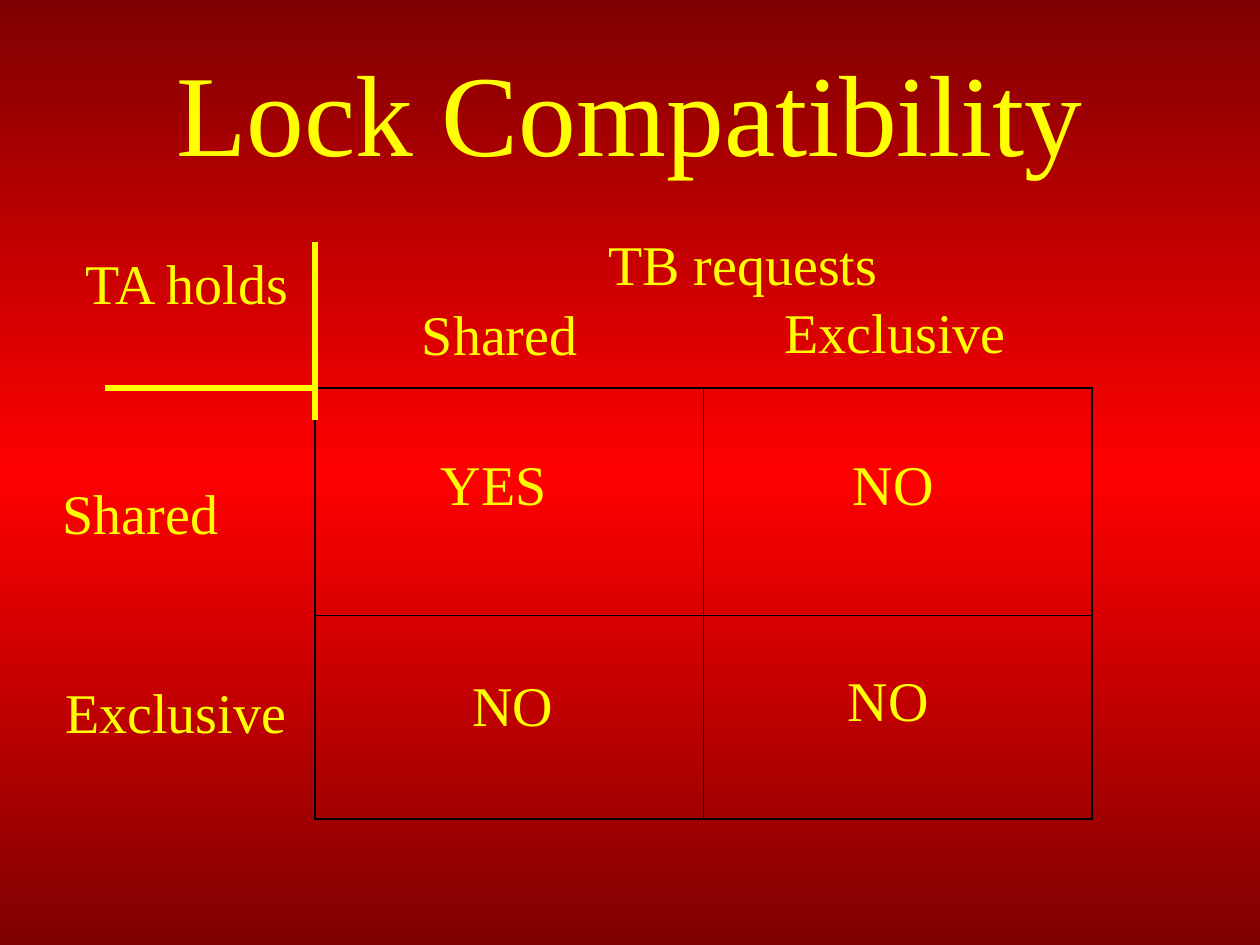
from copy import deepcopy
from lxml import etree
from pptx import Presentation
from pptx import util as u
from pptx.dml.color import RGBColor
from pptx.enum import shapes, text
from pptx.oxml.ns import qn

YELLOW = "FFFF00"
FONT = "Times New Roman"


def color(value):
    return RGBColor.from_string(value)


def add_label(slide, wording, left, top, width, height, size, wrap=False):
    shape = slide.shapes.add_textbox(
        u.Inches(left), u.Inches(top), u.Inches(width), u.Inches(height))
    frame = shape.text_frame
    frame.word_wrap = wrap
    run = frame.paragraphs[0].add_run()
    run.text = wording
    run.font.name = FONT
    run.font.size = u.Pt(size)
    run.font.color.rgb = color(YELLOW)
    return frame


presentation = Presentation()
presentation.slide_width = u.Inches(10)
presentation.slide_height = u.Inches(7.5)
slide = presentation.slides.add_slide(presentation.slide_layouts[6])

background = slide.background.fill
background.gradient()
background.gradient_angle = 270
stop_list = slide.element.xpath(".//a:gsLst")[0]
stop_list.append(deepcopy(stop_list[0]))
gradient = [(0, "7F0000"), (0.5, "FF0000"), (1, "7F0000")]
for stop, (position, value) in zip(background.gradient_stops, gradient):
    stop.position = position
    stop.color.rgb = color(value)

title = add_label(slide, "Lock Compatibility", 0.75, 0.25, 8.5, 1.25, 66, wrap=True)
title.vertical_anchor = text.MSO_ANCHOR.MIDDLE
title.paragraphs[0].alignment = text.PP_ALIGN.CENTER

matrix = slide.shapes.add_table(
    2, 2, u.Inches(2.5), u.Inches(3.08), u.Inches(6.17), u.Inches(3.42)).table
matrix.first_row = False
matrix.horz_banding = False
for row, height in zip(matrix.rows, (1.8, 1.62)):
    row.height = u.Inches(height)
for row in range(2):
    for column in range(2):
        cell = matrix.cell(row, column)
        cell.fill.background()
        properties = cell._tc.get_or_add_tcPr()
        outer_sides = [("lnL", column == 0), ("lnR", column == 1),
                       ("lnT", row == 0), ("lnB", row == 1)]
        for index, (side, outer) in enumerate(outer_sides):
            border = etree.Element(qn("a:" + side), w=str(u.Pt(1.08 if outer else 0.45)))
            fill = etree.SubElement(border, qn("a:solidFill"))
            etree.SubElement(fill, qn("a:srgbClr"), val="000000")
            properties.insert(index, border)

for x1, y1, x2, y2 in [(2.5, 1.92, 2.5, 3.33), (2.5, 3.08, 0.83, 3.08)]:
    rule = slide.shapes.add_connector(
        shapes.MSO_CONNECTOR.STRAIGHT,
        u.Inches(x1), u.Inches(y1), u.Inches(x2), u.Inches(y2))
    rule.line.color.rgb = color(YELLOW)
    rule.line.width = u.Pt(3)
    etree.SubElement(rule._element.spPr, qn("a:effectLst"))

labels = [
    ("TA holds", 0.58, 1.92, 1.88),
    ("TB requests", 4.73, 1.77, 2.35),
    ("Shared", 0.4, 3.75, 1.45),
    ("Exclusive", 0.42, 5.33, 1.97),
    ("Shared", 3.25, 2.33, 1.45),
    ("Exclusive", 6.13, 2.31, 1.97),
    ("YES", 3.4, 3.52, 1.04),
    ("NO", 3.65, 5.27, 0.84),
    ("NO", 6.67, 3.52, 0.84),
    ("NO", 6.63, 5.23, 0.84),
]
for wording, left, top, width in labels:
    label = add_label(slide, wording, left, top, width, 0.64, 32)
    label.auto_size = text.MSO_AUTO_SIZE.SHAPE_TO_FIT_TEXT

presentation.save("out.pptx")
